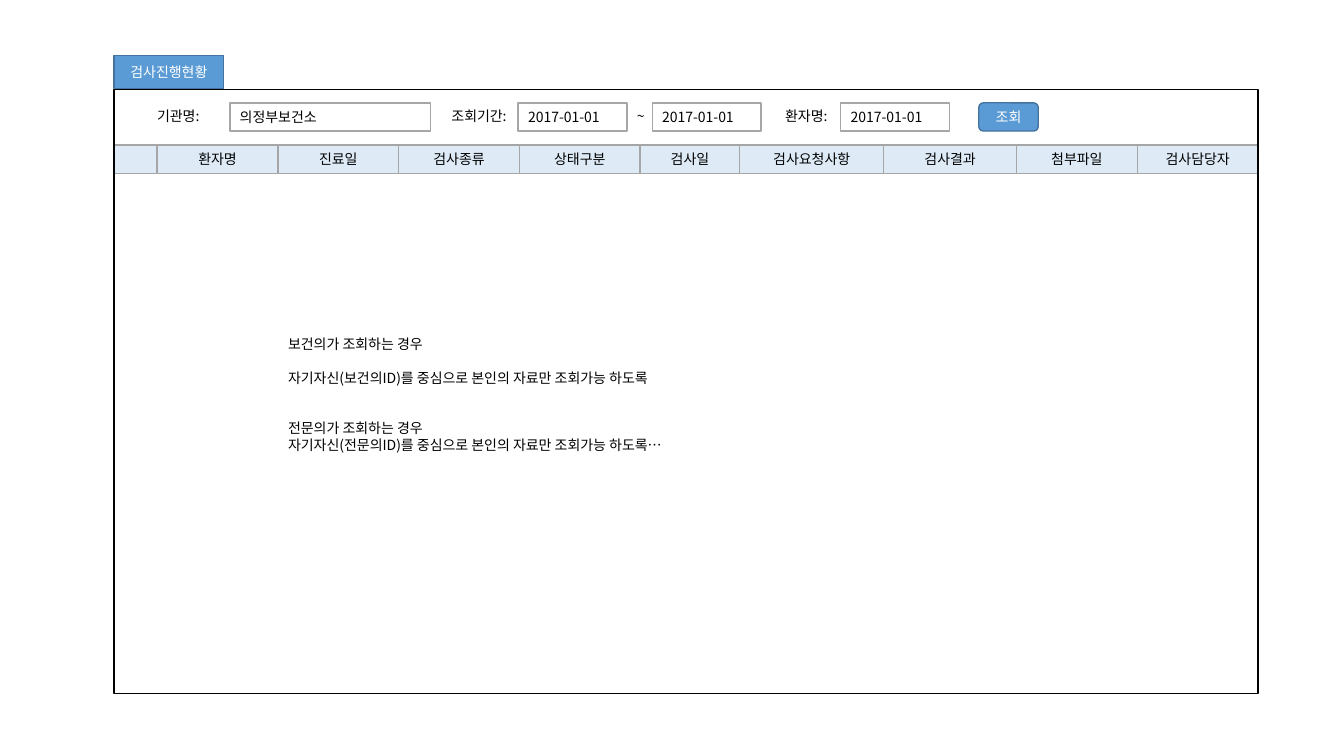
from dataclasses import dataclass

from lxml.etree import SubElement
from pptx import Presentation
from pptx.dml.color import RGBColor
from pptx.enum.shapes import MSO_SHAPE as Shape
from pptx.enum.text import MSO_ANCHOR as Anchor, MSO_AUTO_SIZE as AutoSize, PP_ALIGN as Align
from pptx.oxml.ns import qn
from pptx.util import Inches, Pt


@dataclass(frozen=True)
class Theme:
    font: str = "Noto Sans CJK KR"
    size: int = 10
    border: int = 1
    ink: str = "000000"
    white: str = "FFFFFF"
    accent: str = "5B9BD5"
    accent_edge: str = "43739E"
    header: str = "DEEBF7"
    rule: str = "A6A6A6"


@dataclass(frozen=True)
class Box:
    """A rectangle in grid columns and rows."""
    left: float
    top: float
    width: float
    height: float

    def inner(self, left, top, width, height):
        return Box(self.left + left, self.top + top, width, height)

    def lengths(self):
        return [Inches(units * CELL) for units in (self.left, self.top, self.width, self.height)]


THEME = Theme()
CELL = 0.1  # one grid column or row, in inches
SLIDE = Box(0, 0, 133.33, 75)
TAB = Box(11.3, 5.5, 10.9, 3.3)
PANEL = Box(11.3, 8.9, 113.5, 59.9)
BAR_HEIGHT = 2.8
DATE_WIDTH = 10.8

# Left edge and width inside the search bar, then the text
SEARCH_LABELS = [(3.3, 6.5, "기관명:"), (32.5, 7.9, "조회기간:"),
                 (50.9, 2.5, "~"), (65.6, 6.5, "환자명:")]
SEARCH_FIELDS = [(11.5, 19.9, "의정부보건소"), (40.1, DATE_WIDTH, "2017-01-01"),
                 (53.4, DATE_WIDTH, "2017-01-01"), (72.1, DATE_WIDTH, "2017-01-01")]
SEARCH_BUTTON = (85.8, 5.9, "조회")

# Relative column width and title
HEADERS = [(4.3, ""), (12, "환자명"), (12, "진료일"), (12, "검사종류"), (12, "상태구분"),
           (9.9, "검사일"), (14.3, "검사요청사항"), (13.2, "검사결과"),
           (12, "첨부파일"), (12, "검사담당자")]

# Blank lines' worth of space before, and the text
NOTES = [(0, "보건의가 조회하는 경우"),
         (1, "자기자신(보건의ID)를 중심으로 본인의 자료만 조회가능 하도록"),
         (2, "전문의가 조회하는 경우"),
         (0, "자기자신(전문의ID)를 중심으로 본인의 자료만 조회가능 하도록…")]
NOTE_LINE = 12


def apply(target, formats):
    for name, value in formats.items():
        setattr(target, name, value)


def write(paragraph, text, color=THEME.ink, align=Align.LEFT):
    paragraph.alignment = align
    run = paragraph.add_run()
    run.text = text
    apply(run.font, {"name": THEME.font, "size": Pt(THEME.size)})
    run.font.color.rgb = RGBColor.from_string(color)
    SubElement(run.font._element, qn("a:ea")).set("typeface", THEME.font)


def add_block(slide, box, text="", fill=None, line=THEME.rule, color=THEME.ink,
              align=Align.CENTER, kind=Shape.RECTANGLE):
    shape = slide.shapes.add_shape(kind, *box.lengths())
    shape.shadow.inherit = False
    if fill:
        shape.fill.solid()
        shape.fill.fore_color.rgb = RGBColor.from_string(fill)
    else:
        shape.fill.background()
    shape.line.color.rgb = RGBColor.from_string(line)
    shape.line.width = Pt(THEME.border)
    apply(shape.text_frame, {"vertical_anchor": Anchor.MIDDLE, "word_wrap": True})
    if text:
        write(shape.text_frame.paragraphs[0], text, color, align)


def add_text(slide, box, wrap):
    frame = slide.shapes.add_textbox(*box.lengths()).text_frame
    apply(frame, {"word_wrap": wrap, "auto_size": AutoSize.SHAPE_TO_FIT_TEXT})
    return frame


def add_accent(slide, box, text, kind=Shape.RECTANGLE):
    """Blue block with white text, for the tab and the button."""
    add_block(slide, box, text, THEME.accent, THEME.accent_edge, THEME.white, kind=kind)


def add_header_row(slide, box):
    scale = box.width / sum(width for width, _ in HEADERS)
    left = 0
    for width, title in HEADERS:
        add_block(slide, box.inner(left, 0, width * scale, box.height), title, THEME.header)
        left += width * scale


def add_search_bar(slide, box):
    for left, width, text in SEARCH_LABELS:
        frame = add_text(slide, box.inner(left, 0, width, box.height), wrap=False)
        write(frame.paragraphs[0], text)
    for left, width, text in SEARCH_FIELDS:
        add_block(slide, box.inner(left, 0, width, box.height), text, align=Align.LEFT)
    left, width, text = SEARCH_BUTTON
    add_accent(slide, box.inner(left, 0, width, box.height), text, Shape.ROUNDED_RECTANGLE)


def add_notes_text(slide, box):
    frame = add_text(slide, box, wrap=True)
    for index, (gap, text) in enumerate(NOTES):
        paragraph = frame.add_paragraph() if index else frame.paragraphs[0]
        if gap:
            paragraph.space_before = Pt(gap * NOTE_LINE)
        write(paragraph, text)


def add_panel(slide, box):
    add_header_row(slide, box.inner(0, 5.5, box.width, BAR_HEIGHT))
    add_block(slide, box, line=THEME.ink)
    add_search_bar(slide, box.inner(0, 1.3, box.width, BAR_HEIGHT))
    add_notes_text(slide, box.inner(16.3, 23.9, 81.4, 14.5))


def main():
    presentation = Presentation()
    _, _, width, height = SLIDE.lengths()
    apply(presentation, {"slide_width": width, "slide_height": height})
    slide = presentation.slides.add_slide(presentation.slide_layouts[6])
    add_panel(slide, PANEL)
    add_accent(slide, TAB, "검사진행현황")
    presentation.save("out.pptx")


if __name__ == "__main__":
    main()
